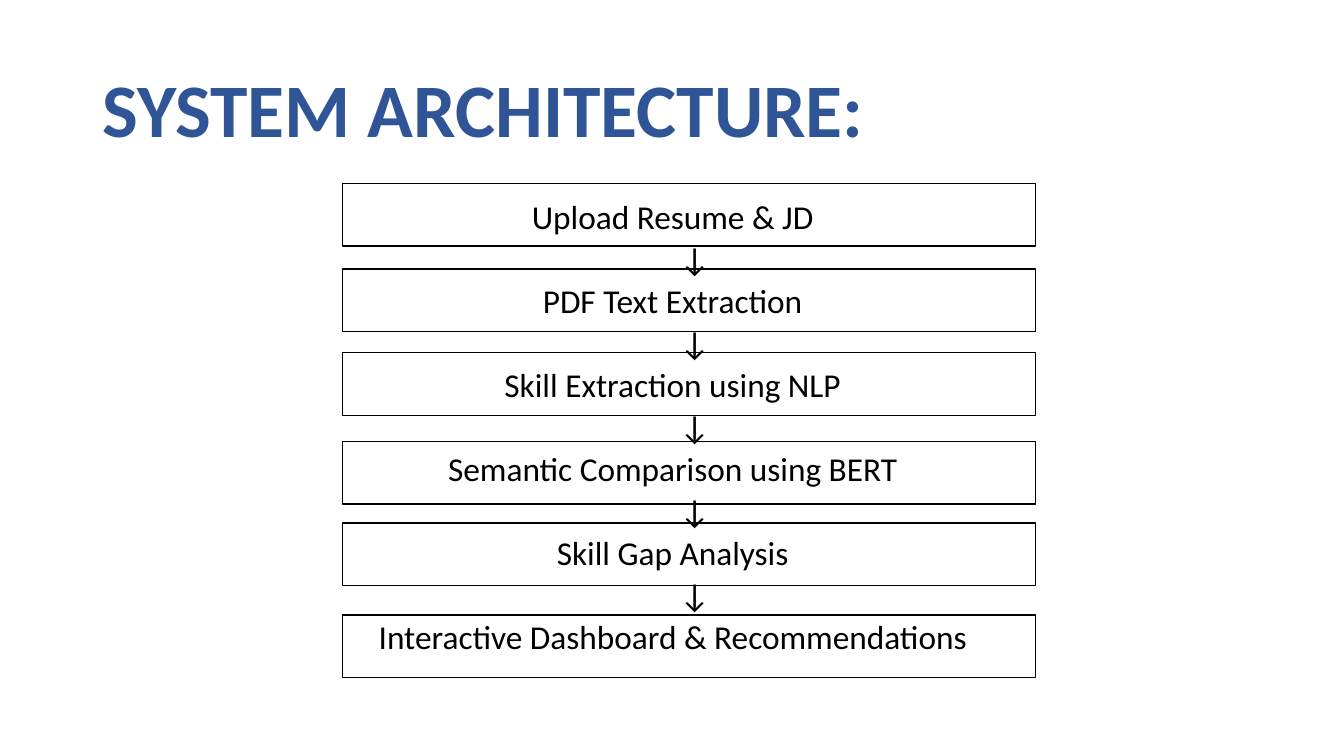
from pptx import Presentation
from pptx.dml.color import RGBColor
from pptx.enum.shapes import MSO_SHAPE as Shape
from pptx.enum.text import MSO_ANCHOR as Anchor, MSO_AUTO_SIZE as AutoSize, PP_ALIGN as Align
from pptx.oxml.xmlchemy import OxmlElement
from pptx.util import Inches, Pt

COLORS = {"title": "2F5597", "ink": "000000"}
STEPS = [
    ("Upload Resume & JD", 1.82),
    ("PDF Text Extraction", 2.67),
    ("Skill Extraction using NLP", 3.5),
    ("Semantic Comparison using BERT", 4.38),
    ("Skill Gap Analysis", 5.19),
    ("Interactive Dashboard & Recommendations", 6.1),
]
ARROW_INDENT = 0.44


def place(holder, top, height, anchor):
    holder.left, holder.top = Inches(0.92), Inches(top)
    holder.width, holder.height = Inches(11.5), Inches(height)
    frame = holder.text_frame
    frame.auto_size = AutoSize.NONE
    frame.word_wrap = True
    frame.vertical_anchor = anchor
    return frame


def style(para, size, color, align, spacing, bold=False):
    para.alignment = align
    para.line_spacing = spacing
    for span in para.runs:
        span.font.name = "Calibri"
        span.font.size = Pt(size)
        span.font.bold = bold
        span.font.color.rgb = RGBColor.from_string(COLORS[color])


deck = Presentation()
deck.slide_width, deck.slide_height = Inches(13.33), Inches(7.5)
page = deck.slides.add_slide(deck.slide_layouts[1])

title = place(page.shapes.title, 0.4, 1.45, Anchor.MIDDLE)
title.text = "SYSTEM ARCHITECTURE:"
style(title.paragraphs[0], 54, "title", Align.LEFT, 0.9, bold=True)

flow = place(page.placeholders[1], 2, 4.76, Anchor.TOP)
flow.text = "\n↓\n".join(label for label, top in STEPS)
for para in flow.paragraphs:
    style(para, 23.8, "ink", Align.CENTER, 0.7)
    para.space_before = Pt(10)
    indent = ARROW_INDENT if para.text == "↓" else 0
    properties = para._p.get_or_add_pPr()
    properties.set("marL", str(Inches(indent)))
    properties.set("indent", "0")
    properties.append(OxmlElement("a:buNone"))

for label, top in STEPS:
    box = page.shapes.add_shape(Shape.RECTANGLE, Inches(3.4), Inches(top), Inches(6.87), Inches(0.62))
    box.shadow.inherit = False
    box.fill.background()
    box.line.color.rgb = RGBColor.from_string(COLORS["ink"])
    box.line.width = Pt(1)

deck.save("out.pptx")
